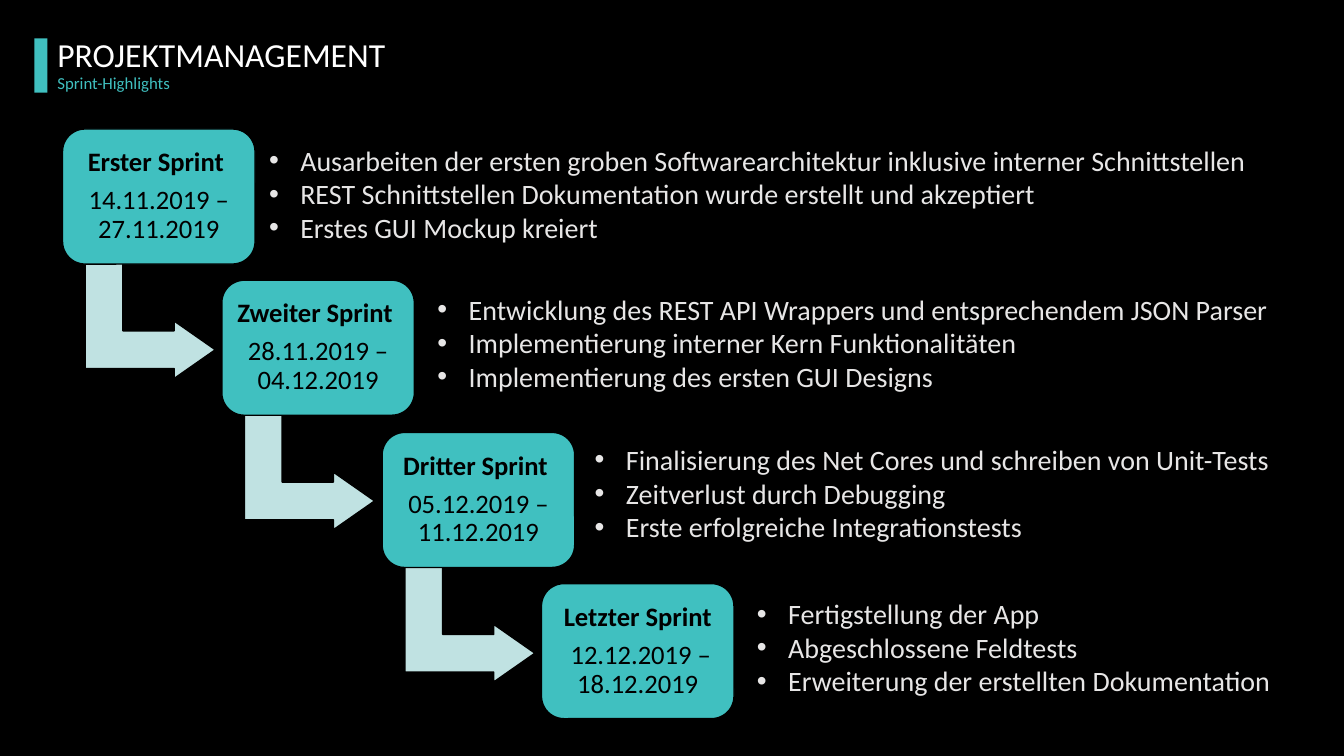
from dataclasses import dataclass

from lxml import etree
from pptx import Presentation
from pptx import util as u
from pptx.dml.color import RGBColor
from pptx.enum import shapes, text
from pptx.oxml.ns import qn

PX = 9144  # EMU per px, 100 px to the inch
FONT = "Calibri"
BLACK = RGBColor(0x00, 0x00, 0x00)
WHITE = RGBColor(0xFF, 0xFF, 0xFF)
TEAL = RGBColor(0x40, 0xC0, 0xC0)
PALE_TEAL = RGBColor(0xC0, 0xE2, 0xE2)
LIGHT_GREY = RGBColor(0xE7, 0xE6, 0xE6)

FIRST_LEFT, FIRST_TOP = 62, 128
LAST_LEFT, LAST_TOP = 537, 579
BOX_WIDTH, BOX_HEIGHT = 191, 134
ARROW_WIDTH, ARROW_HEIGHT = 114, 129
ARROW_DX, ARROW_DY = 30, 126
LIST_HEIGHT = 111
BULLET_INDENT = 31


@dataclass(frozen=True)
class Area:
    left: int
    top: int
    width: int
    height: int

    def emu(self) -> list[int]:
        return [px * PX for px in (self.left, self.top, self.width, self.height)]


@dataclass(frozen=True)
class Sprint:
    name: str
    dates: str
    list_left: int
    list_top: int
    list_width: int
    highlights: tuple[str, ...]


SPRINTS = (
    Sprint("Erster Sprint ", "14.11.2019 – 27.11.2019", 257, 137, 1049, (
        "Ausarbeiten der ersten groben Softwarearchitektur inklusive interner Schnittstellen",
        "REST Schnittstellen Dokumentation wurde erstellt und akzeptiert",
        "Erstes GUI Mockup kreiert")),
    Sprint("Zweiter Sprint ", "28.11.2019 – 04.12.2019", 424, 285, 914, (
        "Entwicklung des REST API Wrappers und entsprechendem JSON Parser",
        "Implementierung interner Kern Funktionalitäten",
        "Implementierung des ersten GUI Designs")),
    Sprint("Dritter Sprint ", "05.12.2019 – 11.12.2019", 580, 434, 816, (
        "Finalisierung des Net Cores und schreiben von Unit-Tests",
        "Zeitverlust durch Debugging",
        "Erste erfolgreiche Integrationstests")),
    Sprint("Letzter Sprint", " 12.12.2019 – 18.12.2019", 741, 587, 577, (
        "Fertigstellung der App",
        "Abgeschlossene Feldtests",
        "Erweiterung der erstellten Dokumentation")),
)


def add_run(paragraph, words: str, size: int, color: RGBColor, bold: bool = False) -> None:
    run = paragraph.add_run()
    run.text = words
    run.font.name = FONT
    run.font.size = u.Pt(size)
    run.font.bold = bold
    run.font.color.rgb = color


def next_paragraph(frame, index: int):
    """Give the frame's own first paragraph, then new ones."""
    return frame.add_paragraph() if index else frame.paragraphs[0]


def add_shape(slide, kind, area: Area, fill: RGBColor, outlined: bool = True):
    shape = slide.shapes.add_shape(kind, *area.emu())
    shape.shadow.inherit = False
    shape.fill.solid()
    shape.fill.fore_color.rgb = fill
    if outlined:
        shape.line.color.rgb = BLACK
        shape.line.width = u.Pt(1)
    else:
        shape.line.fill.background()
    return shape


def add_text_frame(slide, area: Area):
    frame = slide.shapes.add_textbox(*area.emu()).text_frame
    frame.word_wrap = True
    frame.auto_size = text.MSO_AUTO_SIZE.SHAPE_TO_FIT_TEXT
    return frame


def add_header(slide) -> None:
    title = add_text_frame(slide, Area(47, 29, 351, 50))
    add_run(title.paragraphs[0], "PROJEKTMANAGEMENT", 24, WHITE)
    subtitle = add_text_frame(slide, Area(47, 67, 358, 30))
    add_run(subtitle.paragraphs[0], "Sprint-Highlights", 12, TEAL)
    add_shape(slide, shapes.MSO_SHAPE.RECTANGLE, Area(34, 38, 13, 54), TEAL, outlined=False)


def add_arrow(slide, left: int, top: int) -> None:
    area = Area(left + ARROW_DX, top + ARROW_DY, ARROW_WIDTH, ARROW_HEIGHT)
    arrow = add_shape(slide, shapes.MSO_SHAPE.BENT_UP_ARROW, area, PALE_TEAL)
    arrow.rotation = 90
    for index, value in enumerate((0.328, 0.25, 0.358)):
        arrow.adjustments[index] = value


def add_sprint_box(slide, sprint: Sprint, left: int, top: int) -> None:
    box = add_shape(slide, shapes.MSO_SHAPE.ROUNDED_RECTANGLE,
                    Area(left, top, BOX_WIDTH, BOX_HEIGHT), TEAL)
    frame = box.text_frame
    frame.word_wrap = True
    frame.vertical_anchor = text.MSO_ANCHOR.MIDDLE
    frame.margin_left = frame.margin_right = 8 * PX
    frame.margin_top = frame.margin_bottom = 8 * PX
    for index, words in enumerate((sprint.name, sprint.dates)):
        paragraph = next_paragraph(frame, index)
        paragraph.alignment = text.PP_ALIGN.CENTER
        paragraph.line_spacing = 0.9
        paragraph.space_after = u.Pt(6.65)
        add_run(paragraph, words, 19, BLACK, bold=index == 0)


def add_highlights(slide, sprint: Sprint) -> None:
    area = Area(sprint.list_left, sprint.list_top, sprint.list_width, LIST_HEIGHT)
    frame = add_text_frame(slide, area)
    for index, words in enumerate(sprint.highlights):
        paragraph = next_paragraph(frame, index)
        add_run(paragraph, words, 20, LIGHT_GREY)
        properties = paragraph._p.get_or_add_pPr()
        properties.set("marL", str(BULLET_INDENT * PX))
        properties.set("indent", str(-BULLET_INDENT * PX))
        etree.SubElement(properties, qn("a:buFont"), typeface="Arial")
        etree.SubElement(properties, qn("a:buChar"), char="•")


def main() -> None:
    presentation = Presentation()
    presentation.slide_width = u.Emu(1333 * PX)
    presentation.slide_height = u.Emu(750 * PX)
    slide = presentation.slides.add_slide(presentation.slide_layouts[6])
    slide.background.fill.solid()
    slide.background.fill.fore_color.rgb = BLACK

    add_header(slide)
    last = len(SPRINTS) - 1
    for index, sprint in enumerate(SPRINTS):
        left = FIRST_LEFT + round(index * (LAST_LEFT - FIRST_LEFT) / last)
        top = FIRST_TOP + round(index * (LAST_TOP - FIRST_TOP) / last)
        if index < last:
            add_arrow(slide, left, top)
        add_sprint_box(slide, sprint, left, top)
        add_highlights(slide, sprint)
    presentation.save("out.pptx")


if __name__ == "__main__":
    main()
